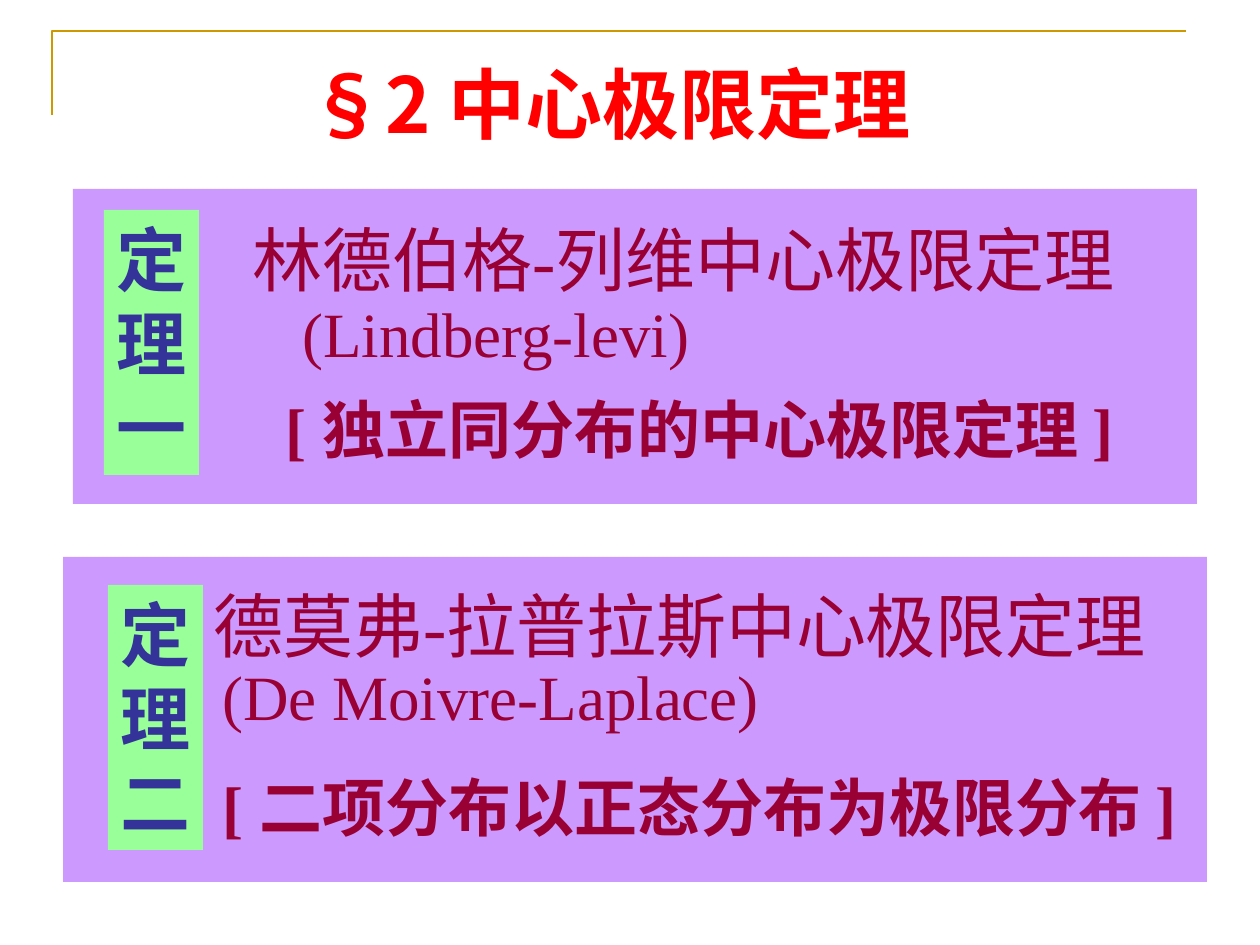
from lxml.etree import SubElement
from pptx import Presentation
from pptx.dml.color import RGBColor
from pptx.enum.shapes import MSO_SHAPE as SHAPE
from pptx.enum.text import MSO_ANCHOR as ANCHOR, PP_ALIGN as ALIGN
from pptx.oxml.ns import qn
from pptx.util import Emu, Pt

PX = 914400 // 126
COLORS = {"gold": "CC9900", "title": "FF0000", "panel": "CC99FF",
          "badge": "99FF99", "label": "333399", "text": "990033"}
SANS, SERIF = "Noto Sans CJK SC", "Times New Roman"

TITLE = "§2 中心极限定理"
CORNER = [(52, 115), (52, 31), (1186, 31)]
# Lines: text, box, size, bold
THEOREMS = [
    {"panel": (73, 189, 1124, 315), "badge": (104, 210, 95, 265), "label": "定理一",
     "lines": [
         ("林德伯格-列维中心极限定理", (240, 210, 940, 97), 40, False),
         ("(Lindberg-levi)", (290, 288, 425, 88), 36, False),
         ("[ 独立同分布的中心极限定理 ]", (273, 384, 900, 88), 36, True)]},
    {"panel": (63, 557, 1144, 325), "badge": (108, 585, 95, 265), "label": "定理二",
     "lines": [
         ("德莫弗-拉普拉斯中心极限定理", (201, 576, 1010, 97), 40, False),
         ("(De Moivre-Laplace)", (210, 651, 630, 88), 36, False),
         ("[ 二项分布以正态分布为极限分布 ]", (210, 762, 1040, 88), 36, True)]},
]


def px(*values):
    return [Emu(v * PX) for v in values]


def rgb(name):
    return RGBColor.from_string(COLORS[name])


def write(shape, lines, size, color, bold, font=SERIF, align=ALIGN.LEFT,
          anchor=ANCHOR.TOP, wrap=True):
    tf = shape.text_frame
    tf.word_wrap = wrap
    tf.vertical_anchor = anchor
    tf.text = "\n".join(lines)
    for p in tf.paragraphs:
        p.alignment = align
        p.font.size, p.font.bold, p.font.name = Pt(size), bold, font
        p.font.color.rgb = rgb(color)
        east_asian = SubElement(p._p.pPr.find(qn("a:defRPr")), qn("a:ea"))
        east_asian.set("typeface", SANS)


def add_block(s, box, color):
    block = s.shapes.add_shape(SHAPE.RECTANGLE, *px(*box))
    block.shadow.inherit = False
    block.fill.solid()
    block.fill.fore_color.rgb = rgb(color)
    block.line.fill.background()
    return block


def add_corner(s):
    builder = s.shapes.build_freeform(*CORNER[0], scale=PX)
    builder.add_line_segments(CORNER[1:], close=False)
    corner = builder.convert_to_shape()
    corner.shadow.inherit = False
    corner.fill.background()
    corner.line.color.rgb = rgb("gold")
    corner.line.width = Pt(1.5)


prs = Presentation()
prs.slide_width, prs.slide_height = px(1260, 945)
s = prs.slides.add_slide(prs.slide_layouts[5])

add_corner(s)
title = s.shapes.title
title.left, title.top, title.width, title.height = px(144, 50, 931, 106)
write(title, [TITLE], 44, "title", True, SANS, ALIGN.CENTER, ANCHOR.MIDDLE)

for theorem in THEOREMS:
    add_block(s, theorem["panel"], "panel")
    badge = add_block(s, theorem["badge"], "badge")
    write(badge, theorem["label"], 40, "label", True, wrap=False)
    for text, box, size, bold in theorem["lines"]:
        write(s.shapes.add_textbox(*px(*box)), [text], size, "text", bold)

prs.save("out.pptx")
